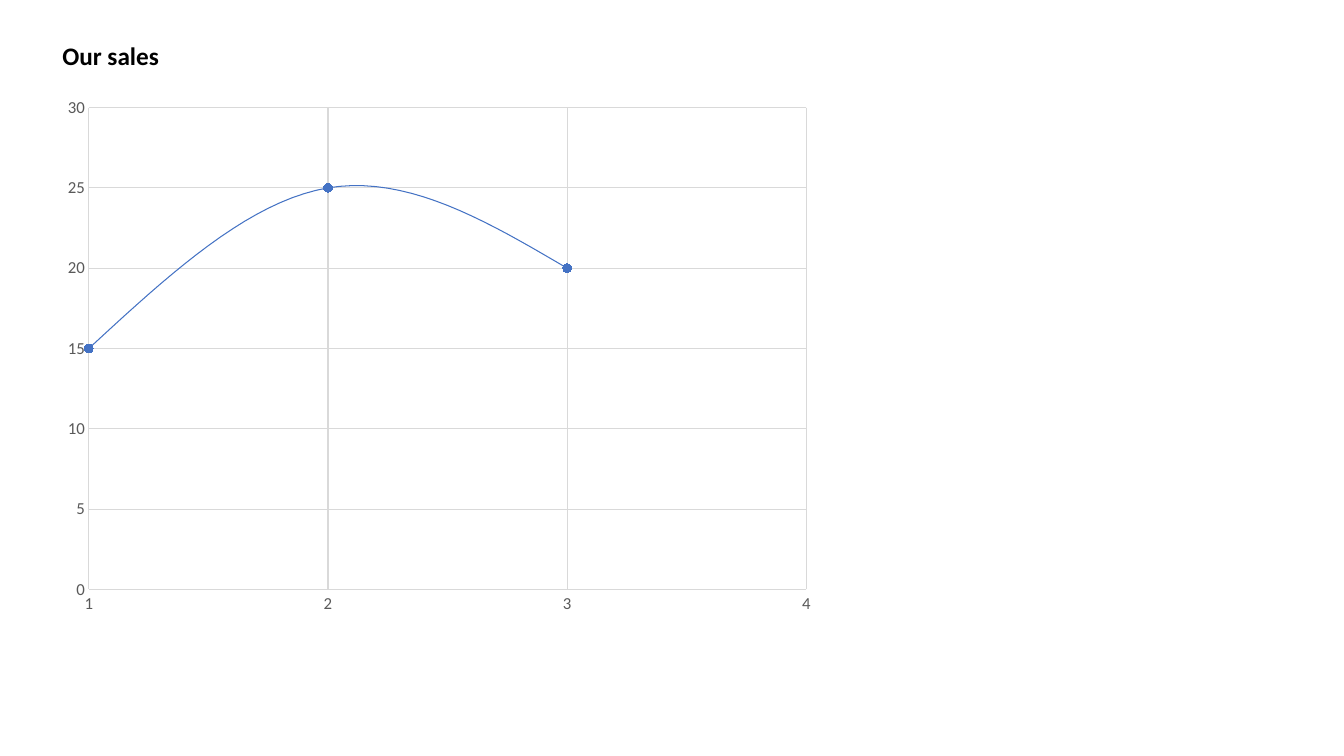
import pptx
import pptx.chart.data
import pptx.dml.color
import pptx.enum.chart
import pptx.enum.text
import pptx.oxml
import pptx.oxml.ns
import pptx.util
from dataclasses import dataclass

Inches, Pt = pptx.util.Inches, pptx.util.Pt
RGB = pptx.dml.color.RGBColor.from_string

# Content
TITLE = "Our sales"
SERIES = "Series 1"
SALES = [(1, 15), (2, 25), (3, 20)]
MONTH_SCALE = {"minimum_scale": 1, "maximum_scale": 4, "major_unit": 1}
SALES_SCALE = {"minimum_scale": 0, "maximum_scale": 30, "major_unit": 5}
TITLE_BOX = (0.52, 0.35, 1.17, 0.4)
CHART_BOX = (0.52, 0.86, 7.67, 5.33)
PLOT_BOX = {"x": 0.047, "y": 0.039, "w": 0.928, "h": 0.897}  # share of chart


@dataclass
class Theme:
    font: str = "Calibri"
    ink: str = "000000"
    label: str = "595959"
    grid: str = "D9D9D9"
    curve: str = "4472C4"
    marker: str = "3E70CA"
    title_size: int = 18
    chart_size: int = 10
    label_size: int = 12


theme = Theme()


def set_font(font, size, color, bold=False):
    for name, value in {"name": theme.font, "size": Pt(size), "bold": bold}.items():
        setattr(font, name, value)
    font.color.rgb = RGB(color)


def set_line(line, color, width):
    line.color.rgb = RGB(color)
    line.width = Pt(width)


def style_axis(axis, scale):
    tick = pptx.enum.chart.XL_TICK_MARK.NONE
    formats = {"major_tick_mark": tick, "minor_tick_mark": tick,
               "has_major_gridlines": True, "has_title": False, **scale}
    for name, value in formats.items():
        setattr(axis, name, value)
    set_line(axis.major_gridlines.format.line, theme.grid, 0.75)
    set_font(axis.tick_labels.font, theme.label_size, theme.label)


def place_plot(chart):
    qn = pptx.oxml.ns.qn
    area = chart.plots[0]._element.getparent()
    for old in area.findall(qn("c:layout")):
        area.remove(old)
    values = {"layoutTarget": "inner", "xMode": "edge", "yMode": "edge", **PLOT_BOX}
    parts = "".join(f'<c:{k} val="{v}"/>' for k, v in values.items())
    area.insert(0, pptx.oxml.parse_xml(
        f'<c:layout {pptx.oxml.ns.nsdecls("c")}>'
        f"<c:manualLayout>{parts}</c:manualLayout></c:layout>"))


def add_title(s):
    tf = s.shapes.add_textbox(*map(Inches, TITLE_BOX)).text_frame
    tf.word_wrap = False
    tf.auto_size = pptx.enum.text.MSO_AUTO_SIZE.SHAPE_TO_FIT_TEXT
    r = tf.paragraphs[0].add_run()
    r.text = TITLE
    set_font(r.font, theme.title_size, theme.ink, bold=True)


def add_sales_chart(s):
    data = pptx.chart.data.XyChartData()
    points = data.add_series(SERIES)
    for month, sales in SALES:
        points.add_data_point(month, sales)
    kind = pptx.enum.chart.XL_CHART_TYPE.XY_SCATTER_SMOOTH
    chart = s.shapes.add_chart(kind, *map(Inches, CHART_BOX), data).chart
    chart.has_legend = chart.has_title = False
    set_font(chart.font, theme.chart_size, theme.ink)
    chart.plots[0].vary_by_categories = False
    place_plot(chart)

    # Axes
    months, values = chart.category_axis, chart.value_axis
    style_axis(months, MONTH_SCALE)
    style_axis(values, SALES_SCALE)
    set_line(months.format.line, theme.grid, 1)
    months.tick_labels.number_format = "#,##0"
    months.tick_labels.number_format_is_linked = False
    values.format.line.fill.background()

    # Curve and markers
    curve = chart.plots[0].series[0]
    curve._element.get_or_add_smooth().val = True
    set_line(curve.format.line, theme.curve, 0.75)
    marker = curve.marker
    marker.style = pptx.enum.chart.XL_MARKER_STYLE.CIRCLE
    marker.size = 6
    marker.format.fill.solid()
    marker.format.fill.fore_color.rgb = RGB(theme.marker)
    set_line(marker.format.line, theme.curve, 0.75)


def main():
    prs = pptx.Presentation()
    prs.slide_width, prs.slide_height = Inches(13.33), Inches(7.5)
    s = prs.slides.add_slide(prs.slide_layouts[6])
    add_title(s)
    add_sales_chart(s)
    prs.save("out.pptx")


if __name__ == "__main__":
    main()
